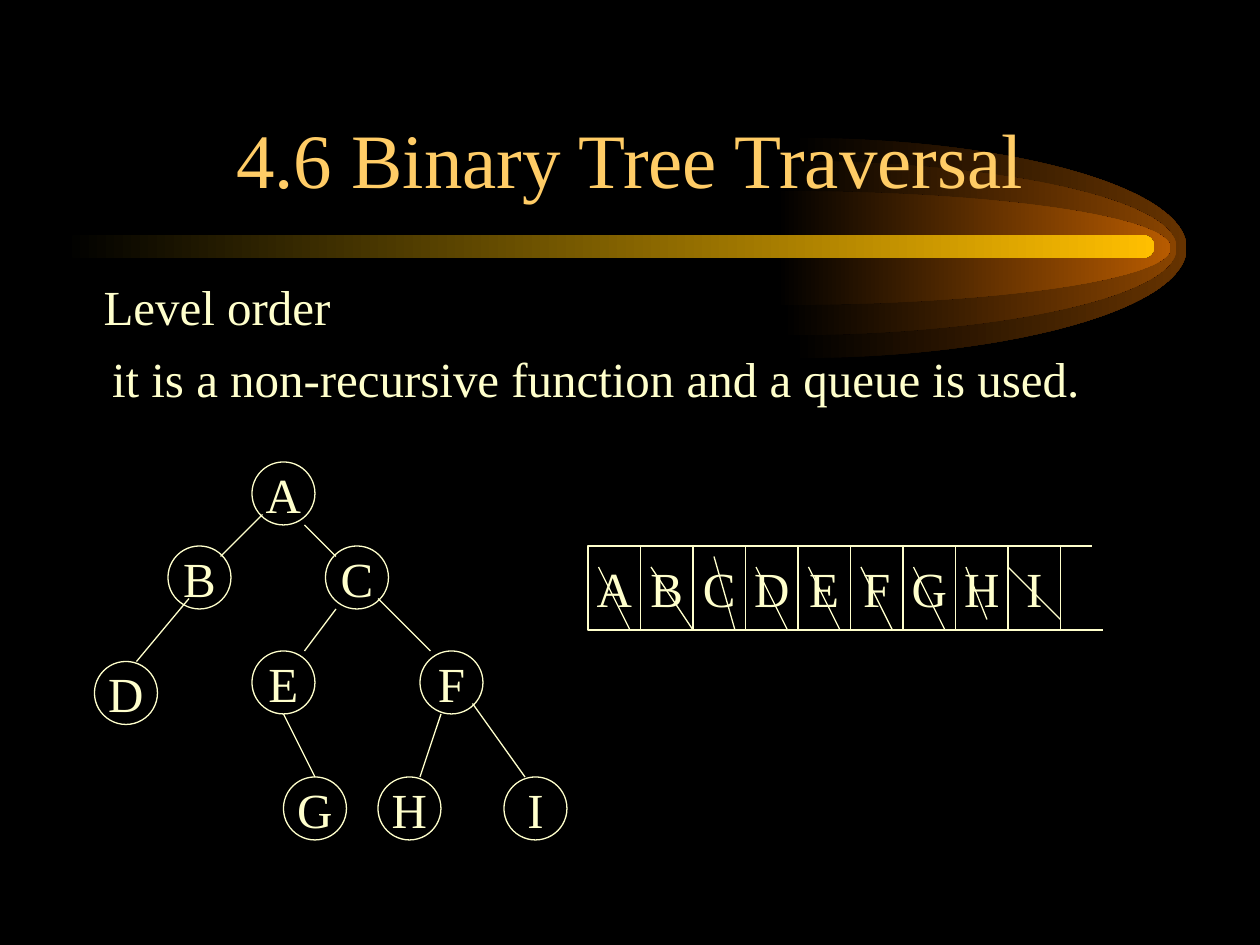
from lxml.etree import SubElement
from pptx import Presentation
from pptx.dml.color import RGBColor as Rgb
from pptx.enum.shapes import MSO_CONNECTOR as Connector, MSO_SHAPE as Shape
from pptx.enum.text import MSO_ANCHOR as Anchor, PP_ALIGN as Align
from pptx.oxml.ns import qn
from pptx.util import Cm, Pt

COLORS = {
    "night": "000000",
    "cream": "FFFFCC",
    "title": "FFCC66",
    "outer": "663300",
    "middle": "894400",
    "inner": "B75B00",
    "bar": "FFBF00",
}
UNIT = 2.54 / 12
KAPPA = 0.55
HALF_OVAL = [(0, -1), (KAPPA, -1), (1, -KAPPA), (1, 0), (1, KAPPA), (KAPPA, 1), (0, 1)]
NODE_SIZE = 6
NODES = {
    "A": (24, 44), "B": (16, 52), "C": (31, 52),
    "D": (9, 63), "E": (24, 62), "F": (40, 62),
    "I": (48, 74), "H": (36, 74), "G": (27, 74),
}
EDGES = [
    (25, 49, 21, 53), (18, 57, 13, 63), (29, 50, 32, 53), (32, 58, 29, 62),
    (36, 57, 41, 62), (27, 68, 30, 74), (42, 68, 40, 74), (45, 67, 50, 74),
]
QUEUE_LEFT, QUEUE_TOP, CELL_WIDTH, CELL_HEIGHT = 56, 52, 5, 8
QUEUE_BOTTOM = QUEUE_TOP + CELL_HEIGHT
CELL_LEFTS = {
    letter: QUEUE_LEFT + CELL_WIDTH * index
    for index, letter in enumerate("ABCDEFGHI")
}
CELL_ORDER = "ABCDEGFIH"
STRIKE = (1, 2, 4, 8)
ODD_STRIKES = {
    "B": (1, 2, 5, 8),
    "C": (2, 1, 4, 8),
    "H": (1, 2, 3, 7),
    "I": (0, 2, 5, 7),
}


def grid(*counts):
    return [Cm(count * UNIT) for count in counts]


def color(name):
    return Rgb.from_string(COLORS[name])


def write(para, text, size=28, tint="cream", align=Align.LEFT, before=0, indent=0):
    para.alignment = align
    para.space_before = Pt(before)
    if indent:
        para._p.get_or_add_pPr().set("marL", str(Cm(indent)))
    span = para.add_run()
    span.text = text
    span.font.name = "Times New Roman"
    span.font.size = Pt(size)
    span.font.color.rgb = color(tint)


def curve(shape, count):
    segments = list(shape._element.iter(qn("a:lnTo")))[:3 * count]
    for first, second, third in zip(*[iter(segments)] * 3):
        first.tag = qn("a:cubicBezTo")
        for extra in (second, third):
            first.append(extra[0])
            extra.getparent().remove(extra)


class Painter:
    def __init__(self, page, line_width=0.75):
        self.page = page
        self.line_width = Pt(line_width)

    def backdrop(self, tint):
        fill = self.page.background.fill
        fill.solid()
        fill.fore_color.rgb = color(tint)

    def fade(self, shape, tint):
        shape.shadow.inherit = False
        shape.line.fill.background()
        shape.fill.gradient()
        shape.fill.gradient_angle = 0
        for stop, position, name in zip(shape.fill.gradient_stops, (0, 1), ("night", tint)):
            stop.position = position
            stop.color.rgb = color(name)

    def comet(self, left, middle, width, half_height, tint):
        points = [
            (Cm(left + width * x), Cm(middle + half_height * y)) for x, y in HALF_OVAL
        ]
        builder = self.page.shapes.build_freeform(*points[0])
        builder.add_line_segments(points[1:] + [(Cm(left), Cm(middle))], close=True)
        shape = builder.convert_to_shape()
        curve(shape, 2)
        self.fade(shape, tint)

    def bar(self, left, top, width, height, tint):
        shape = self.page.shapes.add_shape(
            Shape.ROUNDED_RECTANGLE, Cm(left), Cm(top), Cm(width), Cm(height))
        shape.adjustments[0] = 0.5
        self.fade(shape, tint)

    def text(self, left, top, width, height, anchor=Anchor.TOP):
        box = self.page.shapes.add_textbox(Cm(left), Cm(top), Cm(width), Cm(height))
        box.text_frame.word_wrap = True
        box.text_frame.vertical_anchor = anchor
        return box.text_frame

    def label(self, kind, letter, left, top, width, height):
        shape = self.page.shapes.add_shape(kind, *grid(left, top, width, height))
        shape.shadow.inherit = False
        shape.fill.background()
        shape.line.color.rgb = color("cream")
        shape.line.width = self.line_width
        frame = shape.text_frame
        frame.word_wrap = False
        frame.vertical_anchor = Anchor.MIDDLE
        write(frame.paragraphs[0], letter, align=Align.CENTER)

    def line(self, *ends):
        line = self.page.shapes.add_connector(Connector.STRAIGHT, *grid(*ends))
        line.line.color.rgb = color("cream")
        line.line.width = self.line_width
        SubElement(line._element.spPr, qn("a:effectLst"))


def main():
    deck = Presentation()
    deck.slide_width, deck.slide_height = Cm(25.4), Cm(19.05)
    painter = Painter(deck.slides.add_slide(deck.slide_layouts[6]))
    painter.backdrop("night")

    painter.comet(15.97, 5, 7.95, 2.22, "outer")
    painter.comet(15.77, 5, 7.95, 1.76, "middle")
    painter.comet(15.65, 5, 7.95, 1.15, "inner")
    painter.bar(1.27, 4.74, 22, 0.46, "bar")

    title = painter.text(1.9, 1.06, 21.6, 3.18, Anchor.BOTTOM)
    write(title.paragraphs[0], "4.6 Binary Tree Traversal", size=44, tint="title",
          align=Align.CENTER)

    body = painter.text(1.27, 5.44, 22.23, 12.75)
    write(body.paragraphs[0], "Level order", indent=0.57)
    write(body.add_paragraph(), "it is a non-recursive function and a queue is used.",
          before=7.8, indent=0.74)

    for letter, corner in NODES.items():
        painter.label(Shape.OVAL, letter, *corner, NODE_SIZE, NODE_SIZE)
    for edge in EDGES:
        painter.line(*edge)

    for letter in CELL_ORDER:
        painter.label(Shape.RECTANGLE, letter, CELL_LEFTS[letter], QUEUE_TOP,
                      CELL_WIDTH, CELL_HEIGHT)
    painter.line(QUEUE_LEFT, QUEUE_TOP, 104, QUEUE_TOP)
    painter.line(QUEUE_LEFT, QUEUE_BOTTOM, 105, QUEUE_BOTTOM)
    for letter, left in CELL_LEFTS.items():
        x1, y1, x2, y2 = ODD_STRIKES.get(letter, STRIKE)
        painter.line(left + x1, QUEUE_TOP + y1, left + x2, QUEUE_TOP + y2)

    deck.save("out.pptx")


if __name__ == "__main__":
    main()
